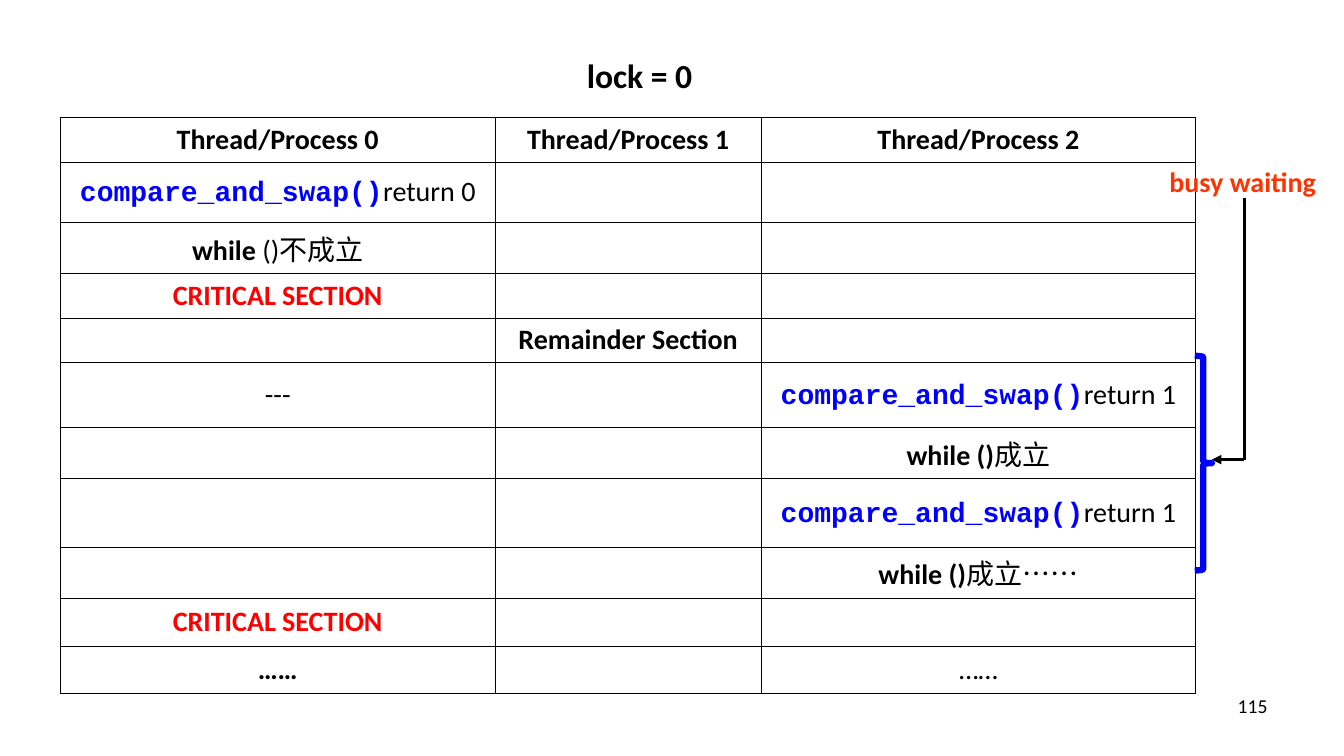
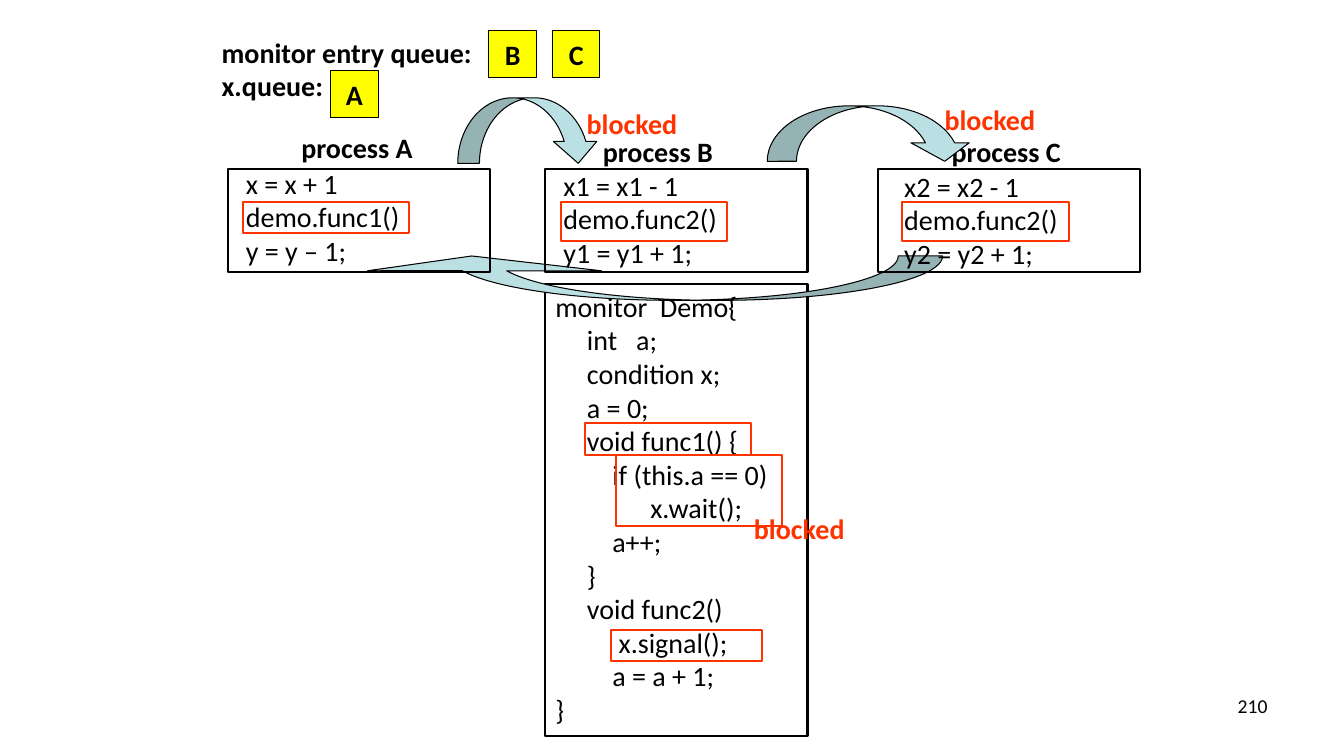
from dataclasses import dataclass

from lxml.etree import SubElement
from pptx import Presentation
from pptx.dml.color import RGBColor
from pptx.enum.shapes import MSO_CONNECTOR as Link, MSO_SHAPE as Shape
from pptx.enum.text import MSO_ANCHOR as Anchor, MSO_AUTO_SIZE as Fit, PP_ALIGN as Align
from pptx.oxml import parse_xml
from pptx.oxml.ns import nsdecls, qn
from pptx.util import Inches, Pt


@dataclass(frozen=True)
class Theme:
    """Colours, fonts and type sizes shared by the slides."""
    ink: str = "000000"
    alert: str = "FF3300"
    critical: str = "FF0000"
    call: str = "0000FF"
    queue: str = "FFFF00"
    arrow: str = "BBE0E3"
    sans: str = "Calibri"
    mono: str = "Courier New"
    title: int = 24
    body: int = 20
    number: int = 14
    hairline: float = 0.75
    outline: float = 1.5
    pointer: float = 2.25
    brace: float = 4.5


THEME = Theme()
COLUMNS, ROWS = 13.33, 7.5
CELL = Inches(1)

SCHEDULE_COLUMNS = [4.31, 2.64, 4.31]
SCHEDULE_ROWS = [0.44, 0.6, 0.5, 0.44, 0.44, 0.65, 0.5, 0.68, 0.5, 0.48, 0.47]

HEADINGS = [[(f"Thread/Process {n}", "strong")] for n in range(3)]
CRITICAL = [("CRITICAL SECTION", "critical")]
SWAP_0, SWAP_1 = ([("compare_and_swap()", "call"), (f"return {n}", "plain")] for n in range(2))
SCHEDULE = [
    HEADINGS,
    [SWAP_0, [], []],
    [[("while ", "strong"), ("()不成立", "plain")], [], []],
    [CRITICAL, [], []],
    [[], [("Remainder Section", "strong")], []],
    [[("---", "plain")], [], SWAP_1],
    [[], [], [("while ()", "strong"), ("成立", "plain")]],
    [[], [], SWAP_1],
    [[], [], [("while ()", "strong"), ("成立……", "plain")]],
    [CRITICAL, [], []],
    [[("……", "strong")], [], [("……", "plain")]],
]

MONITOR_CODE = """monitor  Demo{
     int   a;
     condition x;
     a = 0;
     void func1() {
         if (this.a == 0)
               x.wait();
         a++;
     }
     void func2()
          x.signal();
         a = a + 1;
}"""

LABELS = [("process A", 2.89, 1.25), ("process B", 5.88, 1.29), ("process C", 9.34, 1.29)]
PROCESSES = [
    (2.26, 2.34, 1.6, "x = x + 1\ndemo.func1()\ny = y – 1;"),
    (5.41, 5.49, 1.62, "x1 = x1 - 1\ndemo.func2()\ny1 = y1 + 1;"),
    (8.71, 8.87, 1.63, "x2 = x2 - 1\ndemo.func2()\ny2 = y2 + 1;"),
]
ARROWS = [
    ((4.54, 0.97, 1.41, 0.65), (0.331, 0.662, 0.333), False),
    ((7.61, 1.05, 2.05, 0.55), (0.527, 1.054, 0.333), False),
    ((3.52, 2.54, 5.83, 0.44), (2.633, 5.266, 0.333), True),
]
QUEUED = [("B", 4.85, 0.3), ("C", 5.48, 0.3), ("A", 3.28, 0.7)]
BLOCKED = [(5.72, 1.01), (7.38, 5.03), (9.27, 0.97)]
HIGHLIGHTS = [
    (2.41, 2, 1.65, 0.31), (5.56, 2, 1.65, 0.39), (8.95, 2, 1.65, 0.39),
    (5.8, 4.2, 1.65, 0.31), (6.11, 4.51, 1.65, 0.71), (6.06, 6.25, 1.5, 0.31),
]


def grid(*cells):
    """Turn grid columns and rows into slide lengths."""
    return [round(cell * CELL) for cell in cells]


def style_font(font, size=THEME.body, color=THEME.ink, bold=False, name=THEME.sans):
    """Give a font its face, size and colour."""
    font.name, font.size, font.bold = name, Pt(size), bold
    font.color.rgb = RGBColor.from_string(color)


def style_text(frame, text, align=Align.LEFT, **look):
    """Fill a text frame and format all its runs."""
    frame.text = text
    for paragraph in frame.paragraphs:
        paragraph.alignment = align
        for run in paragraph.runs:
            style_font(run.font, **look)


def add_text(slide, place, text, wrap=True, fit=Fit.SHAPE_TO_FIT_TEXT, **look):
    """Add a plain text box."""
    frame = slide.shapes.add_textbox(*grid(*place)).text_frame
    frame.word_wrap, frame.auto_size = wrap, fit
    style_text(frame, text, **look)


def add_label(slide, place, text, color=THEME.ink):
    """Add a bold one-line label."""
    add_text(slide, place, text, wrap=False, color=color, bold=True)


def add_figure(slide, kind, place, line=THEME.ink, weight=THEME.outline, fill=None):
    """Add an outlined preset shape with an optional fill."""
    figure = slide.shapes.add_shape(kind, *grid(*place))
    figure.shadow.inherit = False
    figure.line.color.rgb, figure.line.width = RGBColor.from_string(line), Pt(weight)
    if fill:
        figure.fill.solid()
        figure.fill.fore_color.rgb = RGBColor.from_string(fill)
    else:
        figure.fill.background()
    return figure


def add_queue_tile(slide, name, left, top):
    """Add a square for a waiting process."""
    tile = add_figure(slide, Shape.RECTANGLE, (left, top, 0.47, 0.47),
                      weight=THEME.hairline, fill=THEME.queue)
    tile.text_frame.word_wrap = False
    tile.text_frame.vertical_anchor = Anchor.MIDDLE
    style_text(tile.text_frame, name, align=Align.CENTER, bold=True)


def add_switch_arrow(slide, place, bends, flipped):
    """Add a curved arrow for a switch between processes."""
    arrow = add_figure(slide, Shape.CURVED_DOWN_ARROW, place,
                       weight=THEME.hairline, fill=THEME.arrow)
    for index, bend in enumerate(bends):
        arrow.adjustments[index] = bend
    if flipped:
        for axis in ("flipH", "flipV"):
            arrow._element.spPr.xfrm.set(axis, "1")


def add_pointer(slide, start, end, head=False):
    """Add a straight line, with an arrowhead if wanted."""
    pointer = slide.shapes.add_connector(Link.STRAIGHT, *grid(*start, *end))
    pointer.line.color.rgb = RGBColor.from_string(THEME.ink)
    pointer.line.width = Pt(THEME.pointer)
    if head:
        SubElement(pointer.line._get_or_add_ln(), qn("a:tailEnd"), type="triangle")
    SubElement(pointer._element.spPr, qn("a:effectLst"))


def add_borders(cell):
    """Draw thin lines on all four sides of a table cell."""
    for index, side in enumerate("LRTB"):
        cell._tc.get_or_add_tcPr().insert(index, parse_xml(
            f'<a:ln{side} {nsdecls("a")} w="{Pt(THEME.hairline)}"><a:solidFill>'
            f'<a:srgbClr val="{THEME.ink}"/></a:solidFill></a:ln{side}>'))


def fill_cell(cell, parts):
    """Write the styled parts of one table cell."""
    looks = {
        "plain": {},
        "strong": {"bold": True},
        "critical": {"bold": True, "color": THEME.critical},
        "call": {"bold": True, "color": THEME.call, "name": THEME.mono},
    }
    cell.fill.background()
    add_borders(cell)
    cell.vertical_anchor = Anchor.MIDDLE
    cell.margin_left = cell.margin_right = Inches(0.14)
    paragraph = cell.text_frame.paragraphs[0]
    paragraph.alignment = Align.CENTER
    for text, look in parts:
        run = paragraph.add_run()
        run.text = text
        style_font(run.font, **looks[look])


def add_schedule(slide, left, top):
    """Add the table of thread steps."""
    place = grid(left, top, sum(SCHEDULE_COLUMNS), sum(SCHEDULE_ROWS))
    table = slide.shapes.add_table(len(SCHEDULE_ROWS), len(SCHEDULE_COLUMNS), *place).table
    table.first_row = table.horz_banding = False
    for column, width in zip(table.columns, grid(*SCHEDULE_COLUMNS)):
        column.width = width
    for row, height, steps in zip(table.rows, grid(*SCHEDULE_ROWS), SCHEDULE):
        row.height = height
        for cell, parts in zip(row.cells, steps):
            fill_cell(cell, parts)


def add_page_number(slide, number):
    """Add the page number at the lower right."""
    add_text(slide, (9.56, 6.83, 3.11, 0.52), str(number), fit=Fit.NONE,
             align=Align.RIGHT, size=THEME.number)


def build_lock_slide(deck):
    """Build the slide on threads sharing a lock."""
    slide = deck.slides.add_slide(deck.slide_layouts[5])
    title = slide.shapes.title
    title.left, title.top, title.width, title.height = grid(5.72, 0.49, 1.8, 0.5)
    title.text_frame.vertical_anchor = Anchor.TOP
    style_text(title.text_frame, "lock = 0", size=THEME.title, bold=True)
    add_schedule(slide, 0.6, 1.17)
    corner = (12.34, 4.56)
    add_pointer(slide, (12.34, 1.96), corner)
    add_pointer(slide, corner, (12.02, 4.56), head=True)
    add_label(slide, (11.5, 1.58, 1.67, 0.44), "busy waiting", THEME.alert)
    add_figure(slide, Shape.RIGHT_BRACE, (11.85, 3.53, 0.17, 2.13),
               line=THEME.call, weight=THEME.brace)
    add_page_number(slide, 115)


def build_monitor_slide(deck):
    """Build the slide on processes using a monitor."""
    slide = deck.slides.add_slide(deck.slide_layouts[6])
    add_text(slide, (2.1, 0.3, 3.54, 0.77), "monitor entry queue:\nx.queue:", bold=True)
    for name, left, top in LABELS:
        add_label(slide, (left, top, 1.35, 0.43), name)
    add_text(slide, (5.41, 2.82, 2.76, 4.48), MONITOR_CODE)
    add_figure(slide, Shape.RECTANGLE, (5.41, 2.82, 2.6, 4.48))
    for arrow in ARROWS:
        add_switch_arrow(slide, *arrow)
    for tile in QUEUED:
        add_queue_tile(slide, *tile)
    for left, top in BLOCKED:
        add_label(slide, (left, top, 1.13, 0.43), "blocked", THEME.alert)
    for frame_left, code_left, code_top, code in PROCESSES:
        add_figure(slide, Shape.RECTANGLE, (frame_left, 1.68, 2.6, 1.02))
        add_text(slide, (code_left, code_top, 1.97, 1.11), code)
    for place in HIGHLIGHTS:
        add_figure(slide, Shape.RECTANGLE, place, line=THEME.alert)
    add_page_number(slide, 210)


def main():
    """Build and save the deck."""
    deck = Presentation()
    deck.slide_width, deck.slide_height = grid(COLUMNS, ROWS)
    build_lock_slide(deck)
    build_monitor_slide(deck)
    deck.save("out.pptx")


if __name__ == "__main__":
    main()
